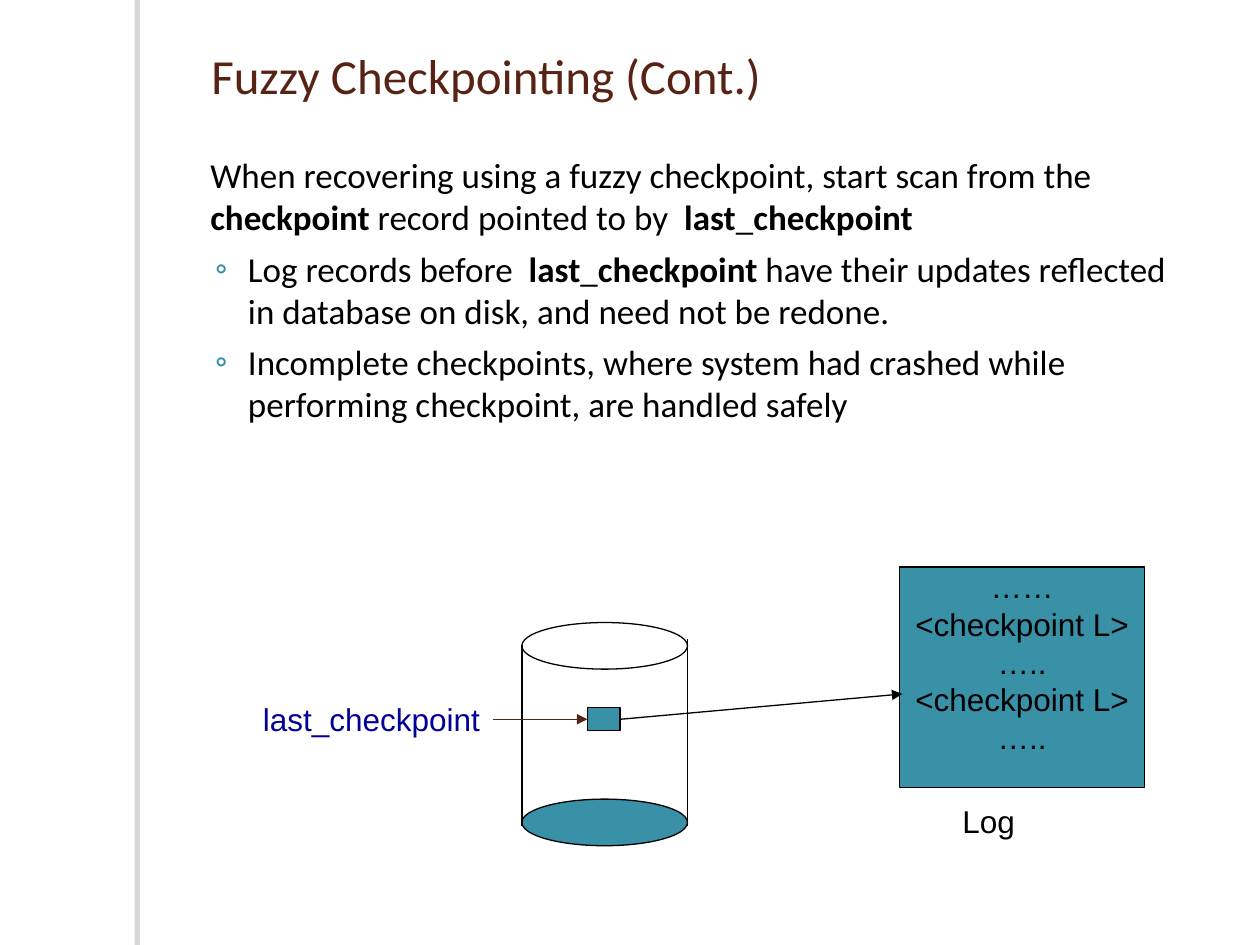
from lxml import etree
from pptx import Presentation
from pptx.dml.color import RGBColor
from pptx.enum.shapes import MSO_CONNECTOR, MSO_SHAPE
from pptx.enum.text import MSO_ANCHOR, PP_ALIGN
from pptx.oxml import parse_xml
from pptx.oxml.ns import nsdecls, qn
from pptx.util import Cm, Pt

RECTANGLE, OVAL = MSO_SHAPE.RECTANGLE, MSO_SHAPE.OVAL
STRAIGHT = MSO_CONNECTOR.STRAIGHT
TOP, MIDDLE = MSO_ANCHOR.TOP, MSO_ANCHOR.MIDDLE
LEFT, CENTER = PP_ALIGN.LEFT, PP_ALIGN.CENTER
LEFT_SIDE, RIGHT_SIDE = 1, 3

WHITE = RGBColor(0xFF, 0xFF, 0xFF)
BLACK = RGBColor(0x00, 0x00, 0x00)
BROWN = RGBColor(0x57, 0x23, 0x14)
DARK_BROWN = RGBColor(0x4F, 0x27, 0x1C)
TEAL = RGBColor(0x38, 0x91, 0xA7)
NAVY = RGBColor(0x00, 0x00, 0x99)
SHADOW = RGBColor(0x70, 0x6B, 0x5F)

INTRODUCTION = [
    ("When recovering using a fuzzy checkpoint, start scan from the ", False),
    ("checkpoint", True), (" record pointed to by ", False),
    (" last", True), ("_", False), ("checkpoint", True),
]
BULLETS = [
    [("Log records before ", False), (" last", True), ("_", False), ("checkpoint", True),
     (" have their updates reflected in database on disk, and need not be redone.", False)],
    [("Incomplete checkpoints, where system had crashed while performing checkpoint, "
      "are handled safely", False)],
]
LOG_LINES = ["……", "<checkpoint L>", "…..", "<checkpoint L>", "….."]


def add_runs(paragraph, runs, font="Arial", size=18, color=BLACK, align=LEFT):
    """Write (text, bold) runs into a paragraph."""
    paragraph.alignment = align
    for text, bold in runs:
        run = paragraph.add_run()
        run.text = text
        run.font.name, run.font.size, run.font.bold = font, Pt(size), bold
        run.font.color.rgb = color


def add_text(slide, text, left, top, width, height, anchor=TOP, wrap=False, **text_format):
    box = slide.shapes.add_textbox(Cm(left), Cm(top), Cm(width), Cm(height))
    box.text_frame.word_wrap = wrap
    box.text_frame.vertical_anchor = anchor
    add_runs(box.text_frame.paragraphs[0], [(text, False)], **text_format)
    return box


def add_box(slide, kind, left, top, width, height, fill=None, line=BLACK):
    shape = slide.shapes.add_shape(kind, Cm(left), Cm(top), Cm(width), Cm(height))
    shape.shadow.inherit = False
    if fill is None:
        shape.fill.background()
    else:
        shape.fill.solid()
        shape.fill.fore_color.rgb = fill
    if line is None:
        shape.line.fill.background()
    else:
        shape.line.color.rgb = line
        shape.line.width = Pt(0.75)
    return shape


def add_line(slide, x1, y1, x2, y2, color=BLACK, arrow=False):
    line = slide.shapes.add_connector(STRAIGHT, Cm(x1), Cm(y1), Cm(x2), Cm(y2))
    line.line.color.rgb = color
    line.line.width = Pt(0.75)
    if arrow:
        etree.SubElement(line.line._get_or_add_ln(), qn("a:tailEnd"), type="triangle")
    etree.SubElement(line._element.spPr, qn("a:effectLst"))
    return line


def add_side_bar(slide, left, top, width, height):
    """White bar that casts a hard shadow to its left."""
    bar = add_box(slide, RECTANGLE, left, top, width, height, fill=WHITE, line=None)
    effects = bar._element.spPr.find(qn("a:effectLst"))
    effects.append(parse_xml(
        f'<a:outerShdw {nsdecls("a")} blurRad="0" dist="{Pt(3)}" dir="10800000" '
        f'algn="tl" rotWithShape="0"><a:srgbClr val="{SHADOW}">'
        '<a:alpha val="25000"/></a:srgbClr></a:outerShdw>'))


def set_indent(paragraph, margin, first_line=0):
    properties = paragraph._p.get_or_add_pPr()
    properties.set("marL", str(Cm(margin)))
    properties.set("indent", str(Cm(first_line)))
    return properties


def add_body(slide, left, top, width, height):
    box = slide.shapes.add_textbox(Cm(left), Cm(top), Cm(width), Cm(height))
    frame = box.text_frame
    frame.word_wrap = True
    introduction = frame.paragraphs[0]
    set_indent(introduction, 1.02)
    add_runs(introduction, INTRODUCTION, font="Calibri", size=20)
    for runs in BULLETS:
        paragraph = frame.add_paragraph()
        paragraph.level = 1
        properties = set_indent(paragraph, 1.78, -0.66)
        bullet_color = etree.SubElement(properties, qn("a:buClr"))
        etree.SubElement(bullet_color, qn("a:srgbClr"), val=str(TEAL))
        etree.SubElement(properties, qn("a:buFont"), typeface="Calibri")
        etree.SubElement(properties, qn("a:buChar"), char="◦")
        paragraph.space_before = Pt(5.5)
        add_runs(paragraph, runs, font="Calibri", size=20)


def add_log(slide, left, top, width, height):
    """Log block with its caption below."""
    block = add_box(slide, RECTANGLE, left, top, width, height, fill=TEAL)
    frame = block.text_frame
    frame.word_wrap = False
    frame.vertical_anchor = TOP
    frame.margin_top = 0
    for index, text in enumerate(LOG_LINES):
        paragraph = frame.add_paragraph() if index else frame.paragraphs[0]
        add_runs(paragraph, [(text, False)], align=CENTER)
    add_text(slide, "Log", left + 1.01, top + height + 0.17, 1.8, 1.02, wrap=True)


def add_disk(slide, left, top, width, height):
    """Open cylinder; returns the checkpoint cell inside it."""
    rim = 0.94
    add_box(slide, OVAL, left, top, width, rim)
    add_box(slide, OVAL, left, top + height - rim, width, rim, fill=TEAL)
    for x, start in ((left, 0.45), (left + width, 0.33)):
        add_line(slide, x, top + start, x, top + height - 0.4)
    return add_box(slide, RECTANGLE, left + 1.32, top + 1.72, 0.66, 0.46, fill=TEAL)


def add_pointers(slide, cell, left, top, width, height):
    """Label pointing at the cell, and the cell's pointer into the log."""
    label = add_text(slide, "last_checkpoint", left, top, 4.88, height, color=NAVY)
    label_arrow = add_line(slide, left, top, left + 1, top, color=DARK_BROWN, arrow=True)
    label_arrow.begin_connect(label, RIGHT_SIDE)
    label_arrow.end_connect(cell, LEFT_SIDE)
    log_arrow = add_line(slide, left, top, left + width, top, arrow=True)
    log_arrow.begin_connect(cell, RIGHT_SIDE)


def main():
    presentation = Presentation()
    presentation.slide_width, presentation.slide_height = Cm(25.4), Cm(19.05)
    slide = presentation.slides.add_slide(presentation.slide_layouts[6])

    # Frame, title and text
    add_side_bar(slide, 2.82, 0, 0.2, 19.05)
    add_text(slide, "Fuzzy Checkpointing (Cont.)", 4.01, 0.64, 20.12, 1.73,
             anchor=MIDDLE, wrap=True, font="Calibri", size=28, color=BROWN)
    add_body(slide, 2.97, 2.97, 21.29, 8)

    # Diagram
    add_log(slide, 18.14, 11.43, 4.93, 4.45)
    cell = add_disk(slide, 10.52, 12.55, 3.34, 4.5)
    add_pointers(slide, cell, 5.05, 13.99, 13.14, 1.02)

    presentation.save("out.pptx")


if __name__ == "__main__":
    main()
